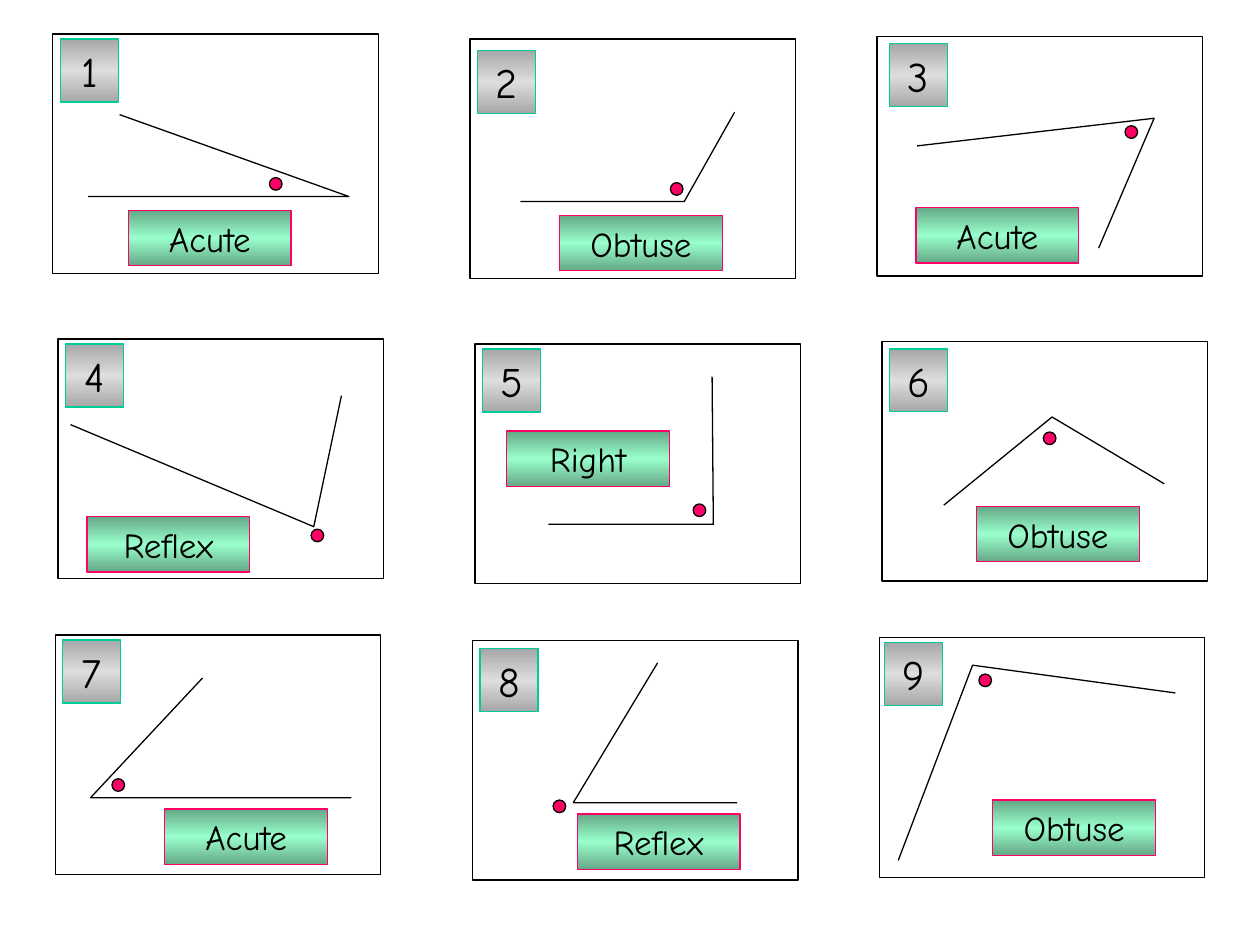
from collections import namedtuple
from copy import deepcopy

from pptx import Presentation
from pptx.dml.color import RGBColor
from pptx.enum.shapes import MSO_SHAPE
from pptx.enum.text import MSO_ANCHOR, PP_ALIGN
from pptx.util import Pt

RECTANGLE, OVAL = MSO_SHAPE.RECTANGLE, MSO_SHAPE.OVAL
MIDDLE, CENTER = MSO_ANCHOR.MIDDLE, PP_ALIGN.CENTER

FONT = "Comic Neue"
COLORS = {
    "ink": "000000",
    "tag_edge": "A7A7A7", "tag_middle": "DDDDDD", "tag_line": "00CC99",
    "label_edge": "65A886", "label_middle": "99FFCC", "pink": "FF0066",
}
CARD_SIZE, TAG_SIZE = (186, 137), (33.2, 36)
LABEL_SIZE, DOT_SIZE = (93, 31.6), (7.2, 7.2)
COLUMN_LEFTS, ROW_SHIFTS = (30.2, 268.6, 501.1), (0, 2.9, 1.4)
ROW_TOPS, COLUMN_DROPS = (19.4, 193.7, 362.9), (0, 2.9, 1.4)

Angle = namedtuple("Angle", "name tag arms dot label")
ANGLES = [
    Angle("Acute", (4.3, 2.9), [(20.2, 92.9), (169.2, 92.9), (38.2, 46.1)],
          (123.8, 82.1), (43.2, 100.8)),
    Angle("Obtuse", (4.3, 6.5), [(28.8, 92.9), (122.4, 92.9), (151.2, 41.8)],
          (114.5, 82.1), (51.1, 100.8)),
    Angle("Acute", (7.2, 4.3), [(126.7, 121), (158.4, 46.8), (23, 62.6)],
          (141.8, 51.1), (22.3, 97.9)),
    Angle("Reflex", (4.3, 2.9), [(7.2, 49), (146.2, 107.3), (162, 32.4)],
          (144.7, 108.7), (16.6, 101.5)),
    Angle("Right", (4.3, 2.9), [(41.8, 103), (136.1, 103), (135.4, 18.7)],
          (124.6, 91.4), (18, 49.7)),
    Angle("Obtuse", (4.3, 4.3), [(161.3, 81.4), (97.2, 43.2), (35.3, 93.6)],
          (92.2, 51.8), (54, 94.3)),
    Angle("Acute", (4.3, 2.9), [(169.2, 92.9), (20.2, 92.9), (84.2, 24.5)],
          (32.4, 82.1), (62.6, 99.4)),
    Angle("Reflex", (4.3, 5), [(151.2, 92.9), (57.6, 92.9), (105.8, 13)],
          (46.1, 91.4), (59.8, 99.4)),
    Angle("Obtuse", (2.9, 2.9), [(169.2, 31.7), (53.3, 15.8), (10.8, 127.4)],
          (56.9, 20.9), (64.8, 92.9)),
]


def color(name):
    """Return the named colour."""
    return RGBColor.from_string(COLORS[name])


def outline(shape, line_color):
    """Give a shape a thin line, no fill and no shadow."""
    shape.shadow.inherit = False
    shape.fill.background()
    shape.line.color.rgb = color(line_color)
    shape.line.width = Pt(0.75)


def add_box(page, kind, origin, offset, size, line_color):
    """Add an outlined shape at an offset from the card's corner."""
    left, top = (start + step for start, step in zip(origin, offset))
    box = page.shapes.add_shape(kind, Pt(left), Pt(top), *map(Pt, size))
    outline(box, line_color)
    return box


def fill_band(box, edge, middle):
    """Fill a box with a vertical gradient that is light in the middle."""
    box.fill.gradient()
    box.fill.gradient_angle = 90
    first, last = box.fill.gradient_stops
    for stop, position, name in ((first, 0, edge), (last, 1, middle)):
        stop.position = position
        stop.color.rgb = color(name)
    stop_list = box.fill._fill._gradFill.gsLst
    stop_list.append(deepcopy(stop_list[0]))
    last.position = 0.5
    box.fill.gradient_stops[2].position = 1


def write(box, text, size):
    """Write one centred line in a box."""
    frame = box.text_frame
    frame.text = text
    frame.word_wrap = True
    frame.vertical_anchor = MIDDLE
    para = frame.paragraphs[0]
    para.alignment = CENTER
    font = para.runs[0].font
    font.name, font.size = FONT, Pt(size)
    font.color.rgb = color("ink")


def add_arms(page, origin, points):
    """Draw the two arms of an angle as one open line."""
    start, *others = [(Pt(origin[0] + x), Pt(origin[1] + y)) for x, y in points]
    builder = page.shapes.build_freeform(*start)
    builder.add_line_segments(others, close=False)
    outline(builder.convert_to_shape(), "ink")


def add_card(page, origin, number, angle):
    """Draw one numbered card with its angle, dot and answer."""
    add_box(page, RECTANGLE, origin, (0, 0), CARD_SIZE, "ink")
    add_arms(page, origin, angle.arms)
    tag = add_box(page, RECTANGLE, origin, angle.tag, TAG_SIZE, "tag_line")
    fill_band(tag, "tag_edge", "tag_middle")
    write(tag, str(number), 24)
    dot = add_box(page, OVAL, origin, angle.dot, DOT_SIZE, "ink")
    dot.fill.solid()
    dot.fill.fore_color.rgb = color("pink")
    label = add_box(page, RECTANGLE, origin, angle.label, LABEL_SIZE, "pink")
    fill_band(label, "label_edge", "label_middle")
    write(label, angle.name, 20)


def main():
    """Build the page of nine angle cards."""
    deck = Presentation()
    deck.slide_width, deck.slide_height = Pt(720), Pt(540)
    page = deck.slides.add_slide(deck.slide_layouts[6])
    for index, angle in enumerate(ANGLES):
        row, column = divmod(index, 3)
        origin = (COLUMN_LEFTS[column] + ROW_SHIFTS[row],
                  ROW_TOPS[row] + COLUMN_DROPS[column])
        add_card(page, origin, index + 1, angle)
    deck.save("out.pptx")


if __name__ == "__main__":
    main()
